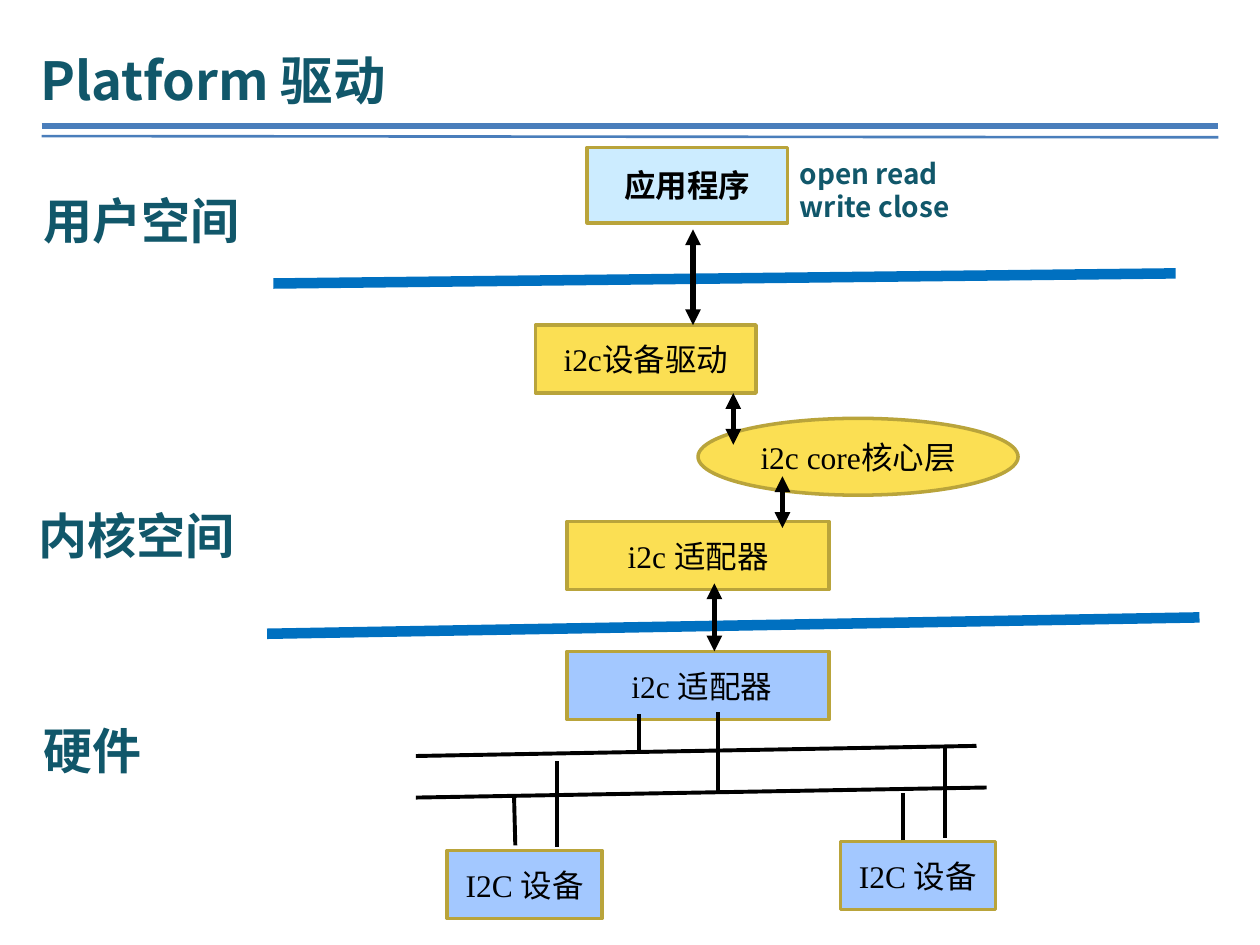
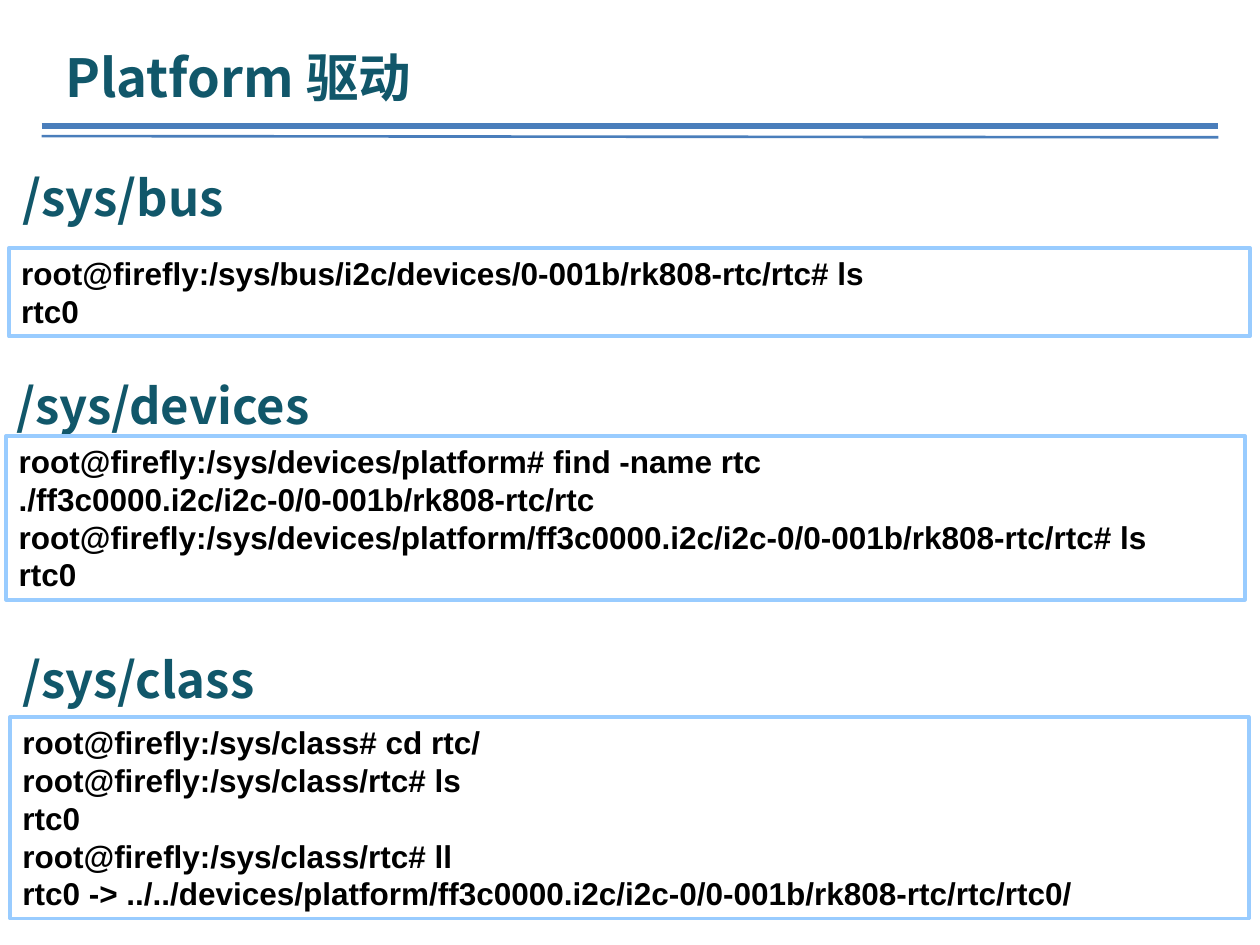
from pptx import Presentation
from pptx.dml.color import RGBColor
from pptx.enum.shapes import MSO_CONNECTOR, MSO_SHAPE
from pptx.enum.text import MSO_ANCHOR, PP_ALIGN
from pptx.oxml.ns import qn
from pptx.util import Inches, Pt
from lxml import etree

RECT, OVAL = MSO_SHAPE.RECTANGLE, MSO_SHAPE.OVAL
STRAIGHT = MSO_CONNECTOR.STRAIGHT
TOP, MIDDLE = MSO_ANCHOR.TOP, MSO_ANCHOR.MIDDLE
LEFT, CENTER = PP_ALIGN.LEFT, PP_ALIGN.CENTER

TEAL = RGBColor(0x11, 0x57, 0x6A)
RULE_BLUE = RGBColor(0x4A, 0x7E, 0xBB)
LAYER_BLUE = RGBColor(0x00, 0x70, 0xC0)
BLACK = RGBColor(0x00, 0x00, 0x00)
YELLOW = RGBColor(0xFB, 0xDF, 0x53)
HARDWARE_BLUE = RGBColor(0xA3, 0xC8, 0xFF)
PALE_BLUE = RGBColor(0xCC, 0xEC, 0xFF)
GOLD = RGBColor(0xB9, 0xA4, 0x3B)
FRAME_BLUE = RGBColor(0x99, 0xCC, 0xFF)

HEAD_FONT, BOX_FONT, CODE_FONT = "Noto Sans CJK SC", "Times New Roman", "Arial"


def write(sp, lines, size, font=HEAD_FONT, color=TEAL, bold=True,
          align=LEFT, anchor=MIDDLE, spacing=None):
    tf = sp.text_frame
    tf.word_wrap = True
    tf.vertical_anchor = anchor
    for i, line in enumerate(lines):
        p = tf.add_paragraph() if i else tf.paragraphs[0]
        p.alignment = align
        p.line_spacing = spacing
        r = p.add_run()
        r.text = line
        r.font.size, r.font.bold, r.font.name = Pt(size), bold, font
        r.font.color.rgb = color
        ea = etree.SubElement(r.font._element, qn("a:ea"))
        ea.set("typeface", HEAD_FONT)


def add_line(s, x1, y1, x2, y2, color, width, arrows=False):
    c = s.shapes.add_connector(STRAIGHT, Inches(x1), Inches(y1), Inches(x2), Inches(y2))
    c.line.color.rgb = color
    c.line.width = Pt(width)
    if arrows:
        ln = c.line._get_or_add_ln()
        for end in ("a:headEnd", "a:tailEnd"):
            etree.SubElement(ln, qn(end)).set("type", "triangle")
    etree.SubElement(c._element.spPr, qn("a:effectLst"))


prs = Presentation()
prs.slide_width, prs.slide_height = Inches(10), Inches(7.5)

# Both slides: double rule, title and teal labels
slides = [
    ((0.22, 0.33), [
        (0.25, 1.46, 1.92, 0.57, 28, ["用户空间"]),
        (0.21, 3.96, 1.95, 0.57, 28, ["内核空间"]),
        (0.25, 5.67, 1.46, 0.57, 28, ["硬件"]),
        (6.25, 1.16, 1.42, 0.69, 16, ["open read", "write close"]),
    ]),
    ((0.42, 0.31), [
        (0.08, 1.28, 2.42, 0.57, 28, ["/sys/bus"]),
        (0.03, 2.93, 2.89, 0.57, 28, ["/sys/devices"]),
        (0.08, 5.1, 2.17, 0.57, 28, ["/sys/class"]),
    ]),
]
for (left, top), labels in slides:
    s = prs.slides.add_slide(prs.slide_layouts[6])
    add_line(s, 0.33, 1, 9.67, 1, RULE_BLUE, 3.5)
    add_line(s, 0.33, 1.08, 9.67, 1.09, RULE_BLUE, 1.5)
    title = (left, top, 4.06, 0.6, 30, ["Platform 驱动"])
    for x, y, w, h, size, lines in [title] + labels:
        sp = s.shapes.add_textbox(Inches(x), Inches(y), Inches(w), Inches(h))
        write(sp, lines, size)

# Slide 1: borders between user space, kernel space and hardware
s = prs.slides[0]
add_line(s, 2.17, 2.25, 9.33, 2.17, LAYER_BLUE, 6)
add_line(s, 2.12, 5.03, 9.52, 4.9, LAYER_BLUE, 6)

# Driver stack, with a little extra left inset on the hardware adapter
nodes = [
    (RECT, 4.66, 1.17, 1.59, 0.6, PALE_BLUE, "应用程序", 0.1),
    (RECT, 4.25, 2.58, 1.75, 0.54, YELLOW, "i2c设备驱动", 0.1),
    (OVAL, 5.54, 3.32, 2.54, 0.61, YELLOW, "i2c core核心层", 0.1),
    (RECT, 4.5, 4.14, 2.08, 0.54, YELLOW, "i2c 适配器", 0.1),
    (RECT, 4.5, 5.17, 2.08, 0.54, HARDWARE_BLUE, "i2c 适配器", 0.16),
    (RECT, 3.55, 6.75, 1.23, 0.54, HARDWARE_BLUE, "I2C 设备", 0.1),
    (RECT, 6.67, 6.68, 1.23, 0.54, HARDWARE_BLUE, "I2C 设备", 0.1),
]
for kind, x, y, w, h, fill, text, inset in nodes:
    sp = s.shapes.add_shape(kind, Inches(x), Inches(y), Inches(w), Inches(h))
    sp.shadow.inherit = False
    sp.fill.solid()
    sp.fill.fore_color.rgb = fill
    sp.line.color.rgb = GOLD
    sp.line.width = Pt(2)
    sp.text_frame.margin_left = Inches(inset)
    write(sp, [text], 18, BOX_FONT, BLACK, fill == PALE_BLUE, CENTER)

# Two bus wires and their taps
wires = [
    (3.3, 6, 7.75, 5.92), (3.3, 6.33, 7.83, 6.25),
    (5.07, 5.96, 5.07, 5.67), (5.7, 6.28, 5.7, 5.65),
    (4.09, 6.71, 4.08, 6.33), (4.42, 6.72, 4.42, 6.04),
    (7.17, 6.67, 7.17, 6.29), (7.5, 6.65, 7.5, 5.92),
]
for ends in wires:
    add_line(s, *ends, BLACK, 2.25)

# Double arrows down the stack
for x, y1, y2 in [(5.5, 1.82, 2.58), (5.82, 3.12, 3.53),
                  (6.21, 3.78, 4.19), (5.67, 4.63, 5.17)]:
    add_line(s, x, y1, x, y2, BLACK, 3, arrows=True)

# Slide 2: framed shell sessions
s = prs.slides[1]
sessions = [
    (0.07, 1.97, 9.85, 0.7, [
        "root@firefly:/sys/bus/i2c/devices/0-001b/rk808-rtc/rtc# ls",
        "rtc0",
    ]),
    (0.05, 3.46, 9.83, 1.3, [
        "root@firefly:/sys/devices/platform# find -name rtc",
        "./ff3c0000.i2c/i2c-0/0-001b/rk808-rtc/rtc",
        "root@firefly:/sys/devices/platform/ff3c0000.i2c/i2c-0/0-001b/rk808-rtc/rtc# ls",
        "rtc0",
    ]),
    (0.08, 5.69, 9.83, 1.6, [
        "root@firefly:/sys/class# cd rtc/",
        "root@firefly:/sys/class/rtc# ls",
        "rtc0",
        "root@firefly:/sys/class/rtc# ll",
        "rtc0 -> ../../devices/platform/ff3c0000.i2c/i2c-0/0-001b/rk808-rtc/rtc/rtc0/",
    ]),
]
for x, y, w, h, lines in sessions:
    sp = s.shapes.add_shape(RECT, Inches(x), Inches(y), Inches(w), Inches(h))
    sp.shadow.inherit = False
    sp.fill.background()
    sp.line.color.rgb = FRAME_BLUE
    sp.line.width = Pt(2.25)
    write(sp, lines, 18, CODE_FONT, BLACK, anchor=TOP, spacing=Pt(21.6))

prs.save("out.pptx")
